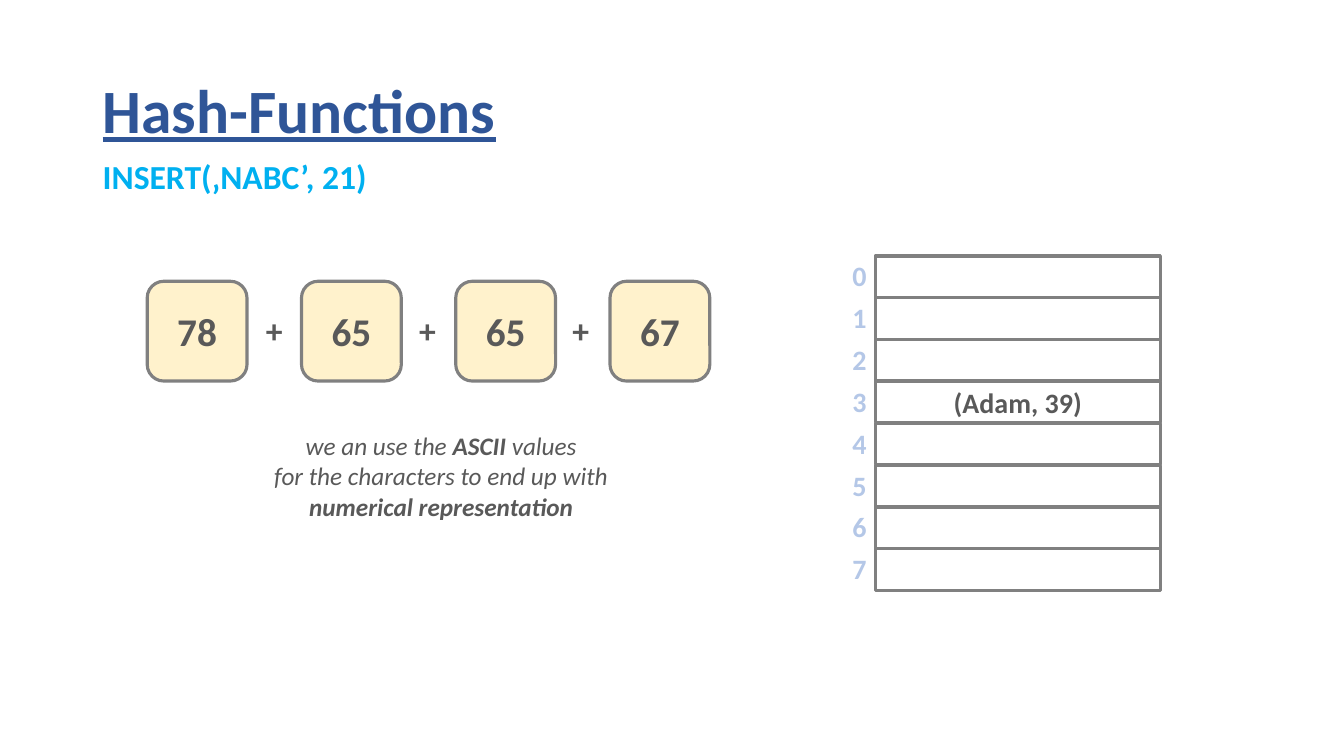
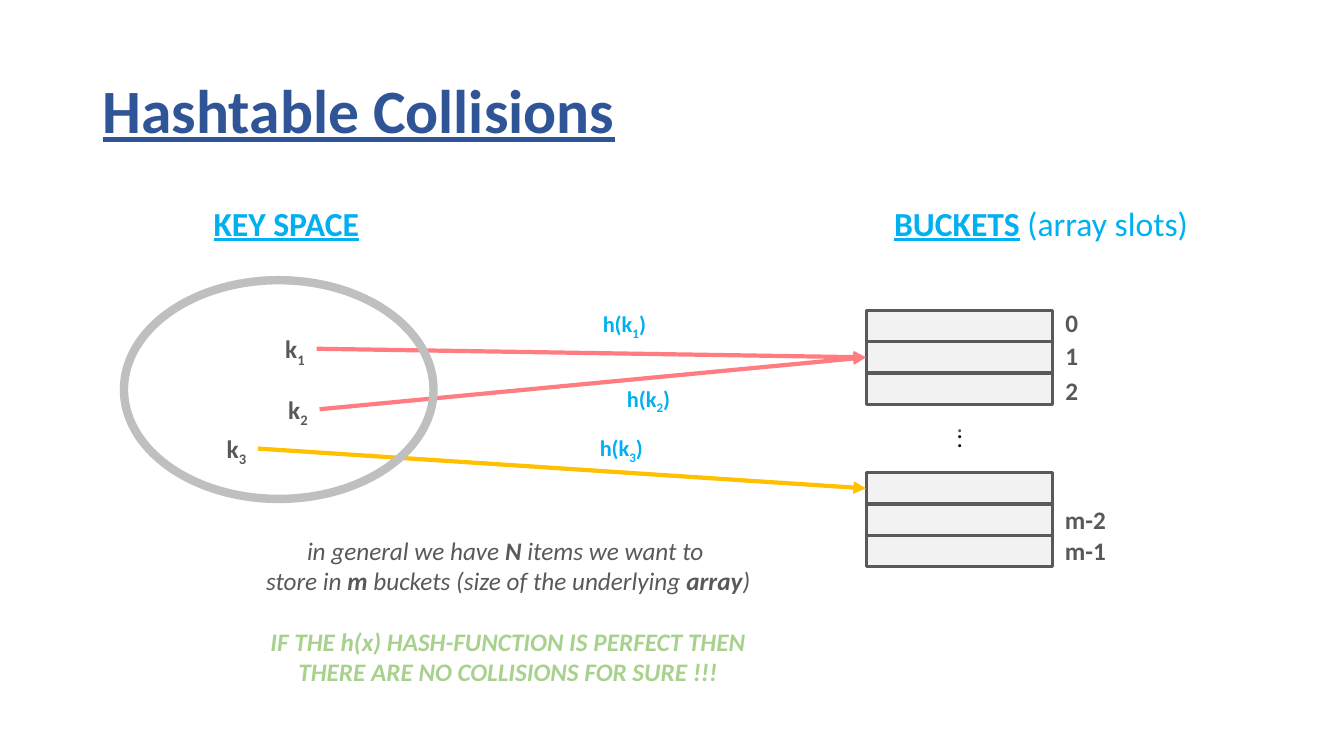
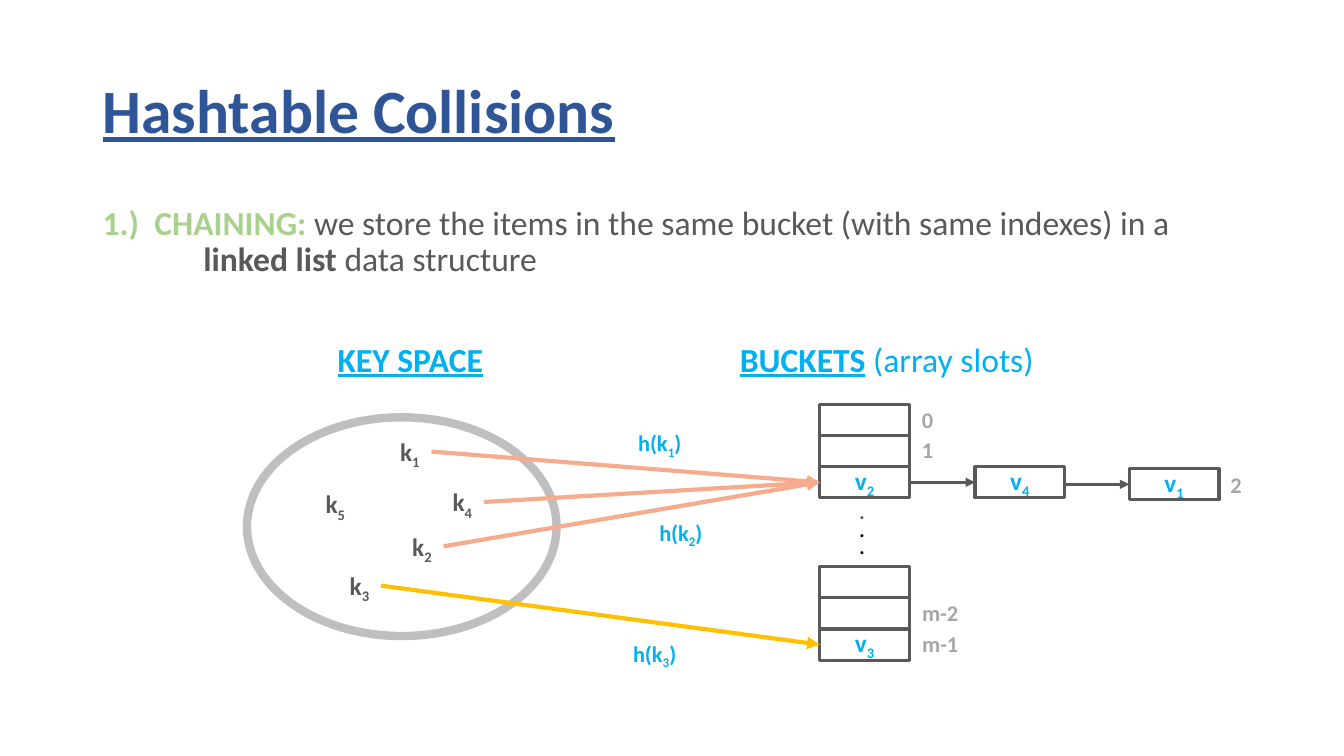
from pptx import Presentation
from pptx.dml.color import RGBColor
from pptx.enum.shapes import MSO_CONNECTOR as Connector, MSO_SHAPE as Preset
from pptx.enum.text import MSO_ANCHOR as Anchor, MSO_AUTO_SIZE as Fit, PP_ALIGN as Align
from pptx.oxml import parse_xml
from pptx.oxml.ns import nsdecls, qn
from pptx.util import Inches, Pt

FONT = "Calibri"
NAVY = RGBColor(0x2F, 0x55, 0x97)
CYAN = RGBColor(0x00, 0xB0, 0xF0)
PALE_BLUE = RGBColor(0xB4, 0xC7, 0xE7)
GREEN = RGBColor(0xA9, 0xD1, 0x8E)
CREAM = RGBColor(0xFF, 0xF2, 0xCC)
GOLD = RGBColor(0xFF, 0xC0, 0x00)
CORAL = RGBColor(0xFF, 0x7C, 0x80)
SALMON = RGBColor(0xF7, 0xAB, 0x8D)
BLACK = RGBColor(0x00, 0x00, 0x00)
DARK = RGBColor(0x59, 0x59, 0x59)
MID = RGBColor(0x80, 0x80, 0x80)
SOFT = RGBColor(0xA6, 0xA6, 0xA6)
RING = RGBColor(0xBF, 0xBF, 0xBF)
PALE = RGBColor(0xF2, 0xF2, 0xF2)
WHITE = RGBColor(0xFF, 0xFF, 0xFF)

BOLD = {"bold": True}
SUB = {"sub": True}
CAPS = {"bold": True, "color": GREEN}

# Content. A text is a list of lines; a line is a list of spans,
# each a string or (string, format).
ASCII_CODES = ["78", "65", "65", "67"]
TABLE_SLOTS = ["", "", "", "(Adam, 39)", "", "", "", ""]
ASCII_NOTE = [
    ["we an use the ", ("ASCII", BOLD), " values"],
    ["for the characters to end up with"],
    [("numerical representation", BOLD)],
]
BUCKET_NOTE = [
    ["in general we have ", ("N", BOLD), " items we want to "],
    ["store in ", ("m", BOLD), " buckets (size of the underlying ", ("array", BOLD), ")"],
    [("IF THE h(x) HASH-FUNCTION IS PERFECT THEN", CAPS)],
    [("THERE ARE NO COLLISIONS FOR SURE !!!", CAPS)],
]
CHAINING = [[
    ("1.)  CHAINING: ", CAPS),
    "we store the items in the same bucket (with same indexes) in a ",
    ("linked list", BOLD), " data structure",
]]
BUCKETS_HEADING = [[
    ("BUCKETS", {"bold": True, "underline": True}),
    (" ", {"color": BLACK}), "(array slots)",
]]

# Slots are numbered 0 to 2 in the upper group and 3 to 5 in the lower one.
PLAIN_DIAGRAM = {
    "headings": (2.02, 8.77, 1.96),
    "ring": (1.23, 2.78),
    "slots": {"left": 8.59, "tops": (3.08, 4.69), "width": 1.85, "fill": PALE},
    "values": {},
    "indexes": [("0", 0.34, 3.0), ("1", 0.34, 3.33), ("2", 0.34, 3.67),
                ("m-2", 0.61, 4.95), ("m-1", 0.61, 5.26)],
    "index_format": {"size": 18, "color": DARK},
    "dots": (9.39, (3.99, 4.05, 4.14)),
    "keys": {"1": (2.73, 3.26), "2": (2.76, 3.86), "3": (2.15, 4.25)},
    "arrows": [("3", 3, GOLD), ("1", 1, CORAL), ("2", 1, CORAL)],
    "hashes": {"1": (5.88, 3.03), "2": (6.12, 3.77), "3": (5.85, 4.26)},
}
CHAIN_DIAGRAM = {
    "headings": (3.25, 7.24, 3.31),
    "ring": (2.45, 4.14),
    "slots": {"left": 8.13, "tops": (4.01, 5.62), "width": 0.89, "fill": WHITE},
    "values": {2: "2", 5: "3"},
    "indexes": [("0", 0.32, 3.98), ("1", 0.32, 4.28),
                ("m-2", 0.57, 5.89), ("m-1", 0.57, 6.2)],
    "index_format": {"size": 16, "color": SOFT},
    "dots": (8.42, (4.86, 5.03, 5.2)),
    "keys": {"1": (3.87, 4.28), "2": (3.99, 5.22), "3": (3.37, 5.61),
             "4": (4.39, 4.78), "5": (3.13, 4.8)},
    "arrows": [("3", 5, GOLD), ("2", 2, SALMON), ("4", 2, SALMON), ("1", 2, SALMON)],
    "hashes": {"1": (6.23, 4.21), "2": (6.44, 5.1), "3": (6.18, 6.3)},
}
CHAIN_NODES = [("4", 9.67, 4.63), ("1", 11.2, 4.65)]

SLOT_HEIGHT = 0.31
KEY_WIDTH = 0.41


def write(frame, lines, size=18, color=DARK, bold=False, italic=False,
          underline=False, align=Align.LEFT, spacing=None, gaps=None):
    """Fill a text frame; gaps maps a line number to the points above it."""
    if isinstance(lines, str):
        lines = [[lines]]
    for number, line in enumerate(lines):
        para = frame.paragraphs[0] if number == 0 else frame.add_paragraph()
        para.alignment = align
        if spacing:
            para.line_spacing = spacing
        if gaps and number in gaps:
            para.space_before = Pt(gaps[number])
        for part in line:
            text, extra = (part, {}) if isinstance(part, str) else part
            span = para.add_run()
            span.text = text
            font = span.font
            font.name, font.size = FONT, Pt(size)
            font.bold = extra.get("bold", bold)
            font.italic = italic
            font.underline = extra.get("underline", underline)
            font.color.rgb = extra.get("color", color)
            if extra.get("sub"):
                span._r.get_or_add_rPr().set("baseline", "-25000")


def label(page, left, top, width, height, lines, wrap=False, anchor=Anchor.TOP, **style):
    """Add a text box; unwrapped boxes grow with their text."""
    box = page.shapes.add_textbox(Inches(left), Inches(top), Inches(width), Inches(height))
    frame = box.text_frame
    frame.word_wrap = wrap
    frame.auto_size = Fit.NONE if wrap else Fit.SHAPE_TO_FIT_TEXT
    frame.vertical_anchor = anchor
    write(frame, lines, **style)
    return box


def block(page, preset, left, top, width, height, line, weight=2.25,
          fill=None, lines=None, **style):
    """Add an outlined preset shape with optional centred text."""
    shape = page.shapes.add_shape(
        preset, Inches(left), Inches(top), Inches(width), Inches(height))
    shape.shadow.inherit = False
    shape.line.color.rgb = line
    shape.line.width = Pt(weight)
    if fill is None:
        shape.fill.background()
    else:
        shape.fill.solid()
        shape.fill.fore_color.rgb = fill
    if lines:
        shape.text_frame.vertical_anchor = Anchor.MIDDLE
        write(shape.text_frame, lines, bold=True, align=Align.CENTER, **style)


def arrow(page, start, end, color, weight=3):
    """Add a straight line with a triangle at its end."""
    line = page.shapes.add_connector(
        Connector.STRAIGHT, *(Inches(value) for value in (*start, *end)))
    line.line.color.rgb = color
    line.line.width = Pt(weight)
    outline = line._element.spPr.find(qn("a:ln"))
    outline.append(parse_xml(f'<a:tailEnd {nsdecls("a")} type="triangle"/>'))
    line._element.spPr.append(parse_xml(f'<a:effectLst {nsdecls("a")}/>'))


def indexed(letter, index, close=""):
    """Return one line holding a letter with a subscript."""
    spans = [letter, (index, SUB)]
    return [spans + [close] if close else spans]


def new_page(deck, title):
    """Add a blank page with the shared title."""
    page = deck.slides.add_slide(deck.slide_layouts[6])
    label(page, 0.92, 0.4, 11.5, 1.45, title, wrap=True, anchor=Anchor.MIDDLE,
          size=44, color=NAVY, bold=True, underline=True, spacing=0.9)
    return page


def slot_place(diagram, number):
    """Return left and top of a bucket slot."""
    group, row = divmod(number, 3)
    slots = diagram["slots"]
    return slots["left"], slots["tops"][group] + row * SLOT_HEIGHT


def draw_value(page, left, top, width, fill, index=None):
    """Draw a bucket slot or a list node, with its value if it has one."""
    block(page, Preset.RECTANGLE, left, top, width, SLOT_HEIGHT, DARK, fill=fill,
          lines=indexed("v", index) if index else None, color=CYAN)


def draw_buckets(page, diagram):
    """Draw the headings, the two slot groups, their indexes and the dots."""
    keys_left, buckets_left, top = diagram["headings"]
    label(page, keys_left, top, 1.66, 0.5, "KEY SPACE",
          size=24, color=CYAN, bold=True, underline=True)
    label(page, buckets_left, top, 3.14, 0.5, BUCKETS_HEADING, size=24, color=CYAN)
    dots_left, dot_tops = diagram["dots"]
    for dot_top, color in zip(dot_tops, (DARK, BLACK, BLACK)):
        label(page, dots_left, dot_top, 0.27, 0.4, ".", color=color)
    slots = diagram["slots"]
    for number in range(6):
        left, top = slot_place(diagram, number)
        draw_value(page, left, top, slots["width"], slots["fill"],
                   diagram["values"].get(number))
    for text, width, top in diagram["indexes"]:
        label(page, slots["left"] + slots["width"] + 0.02, top, width, 0.4, text,
              bold=True, align=Align.CENTER, **diagram["index_format"])


def draw_ring(page, diagram):
    """Draw the outline of the key space."""
    block(page, Preset.OVAL, *diagram["ring"], 3.07, 2.17, RING, weight=6)


def draw_arrows(page, diagram):
    """Join the right side of each key to the middle of its slot."""
    for key, slot, color in diagram["arrows"]:
        key_left, key_top = diagram["keys"][key]
        left, top = slot_place(diagram, slot)
        arrow(page, (key_left + KEY_WIDTH, key_top + 0.2),
              (left, top + SLOT_HEIGHT / 2), color)


def draw_keys(page, diagram):
    """Write the keys and the hash call beside each arrow."""
    for index, (left, top) in diagram["keys"].items():
        label(page, left, top, KEY_WIDTH, 0.4, indexed("k", index), bold=True)
    for index, (left, top) in diagram["hashes"].items():
        label(page, left, top, 0.65, 0.37, indexed("h(k", index, ")"),
              size=16, color=CYAN, bold=True)


def build_functions(deck):
    """Build the page on hashing a name by its character codes."""
    page = new_page(deck, "Hash-Functions")
    label(page, 0.92, 1.5, 2.85, 0.5, "INSERT(‚NABC’, 21)", size=24, color=CYAN, bold=True)
    label(page, 2.58, 4.22, 3.59, 1.01, ASCII_NOTE, italic=True, align=Align.CENTER)
    for row, text in enumerate(TABLE_SLOTS):
        top = 2.54 + row * 0.415
        block(page, Preset.RECTANGLE, 8.68, top, 2.83, 0.41, MID, lines=text, size=20)
        label(page, 8.355, top - 0.02, 0.34, 0.44, str(row),
              size=20, color=PALE_BLUE, bold=True)
    for column, code in enumerate(ASCII_CODES):
        block(page, Preset.ROUNDED_RECTANGLE, 1.46 + column * 1.53, 2.79, 0.99, 0.99,
              MID, fill=CREAM, lines=code, size=28)
        if column:
            label(page, 1.02 + column * 1.52, 3.03, 0.4, 0.5, "+", size=24, bold=True)


def build_collisions(deck):
    """Build the page where two keys meet in one bucket."""
    page = new_page(deck, "Hashtable Collisions")
    draw_buckets(page, PLAIN_DIAGRAM)
    draw_arrows(page, PLAIN_DIAGRAM)
    draw_ring(page, PLAIN_DIAGRAM)
    draw_keys(page, PLAIN_DIAGRAM)
    label(page, 2.51, 5.26, 5.06, 1.62, BUCKET_NOTE, italic=True,
          align=Align.CENTER, gaps={2: 22})


def build_chaining(deck):
    """Build the page where a bucket holds a linked list."""
    page = new_page(deck, "Hashtable Collisions")
    body = label(page, 0.92, 2, 11, 1, CHAINING, wrap=True, size=24, spacing=0.9)
    hanging = body.text_frame.paragraphs[0]._p.get_or_add_pPr()
    hanging.set("marL", str(Inches(1)))
    hanging.set("indent", str(Inches(-1)))
    draw_buckets(page, CHAIN_DIAGRAM)
    draw_ring(page, CHAIN_DIAGRAM)
    draw_arrows(page, CHAIN_DIAGRAM)
    draw_keys(page, CHAIN_DIAGRAM)
    width = CHAIN_DIAGRAM["slots"]["width"]
    tail = slot_place(CHAIN_DIAGRAM, 2)[0] + width
    for index, left, top in CHAIN_NODES:
        middle = top + SLOT_HEIGHT / 2
        arrow(page, (tail, middle), (left, middle), DARK, weight=2.25)
        draw_value(page, left, top, width, WHITE, index)
        tail = left + width
    label(page, tail + 0.01, 4.63, 0.32, 0.37, "2", bold=True,
          align=Align.CENTER, **CHAIN_DIAGRAM["index_format"])


deck = Presentation()
deck.slide_width, deck.slide_height = Inches(13.33), Inches(7.5)
build_functions(deck)
build_collisions(deck)
build_chaining(deck)
deck.save("out.pptx")
